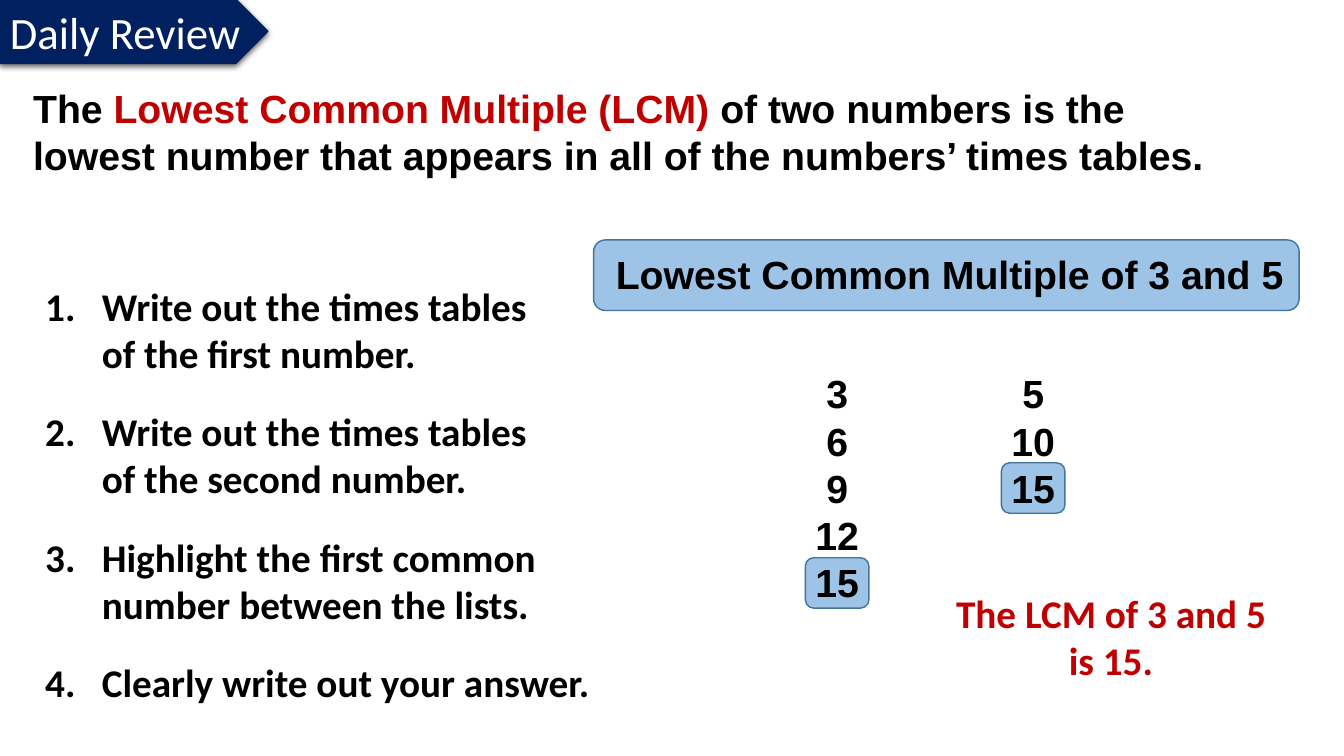
from lxml import etree
from pptx import Presentation
from pptx.dml.color import RGBColor
from pptx.enum.shapes import MSO_SHAPE
from pptx.enum.text import MSO_ANCHOR, MSO_AUTO_SIZE, PP_ALIGN
from pptx.oxml.ns import qn
from pptx.util import Pt

LEFT, CENTER = PP_ALIGN.LEFT, PP_ALIGN.CENTER
ROUNDED, PENTAGON = MSO_SHAPE.ROUNDED_RECTANGLE, MSO_SHAPE.PENTAGON
MIDDLE, GROW = MSO_ANCHOR.MIDDLE, MSO_AUTO_SIZE.SHAPE_TO_FIT_TEXT

COLORS = {"navy": "002060", "blue": "9DC3E6", "outline": "43739E",
          "red": "C00000", "black": "000000", "white": "FFFFFF"}

BANNER = "Daily Review"
DEFINITION = [
    ("The ", "black"),
    ("Lowest Common Multiple (LCM) ", "red"),
    ("of two numbers is the lowest number that appears in all of the "
     "numbers’ times tables.", "black"),
]
EXAMPLE = "Lowest Common Multiple of 3 and 5"
ANSWER = "The LCM of 3 and 5 is 15."
STEPS = [  # text, box width
    ("Write out the times tables of the first number.", 360),
    ("Write out the times tables of the second number.", 367),
    ("Highlight the first common number between the lists.", 384),
    ("Clearly write out your answer.", 421),
]
TIMES_TABLES = [  # centre, multiples ending with the common one
    (598, ["3", "6", "9", "12", "15"]),
    (738, ["5", "10", "15"]),
]

STEP_LEFT, STEP_TOP, STEP_PITCH, STEP_INDENT = 25.2, 198, 89.6, 40.5
TABLE_TOP, TABLE_WIDTH, ROW_HEIGHT = 260.6, 147, 33.9
MARK_WIDTH, MARK_HEIGHT, MARK_OFFSET = 45.4, 36, 2.2
TEXT_MARGINS = 7.2

presentation = Presentation()
presentation.slide_width, presentation.slide_height = Pt(960), Pt(540)
slide = presentation.slides.add_slide(presentation.slide_layouts[6])


def color(name):
    return RGBColor.from_string(COLORS[name])


def add_box(preset, left, top, width, height, fill, line, line_width):
    shape = slide.shapes.add_shape(preset, Pt(left), Pt(top), Pt(width), Pt(height))
    shape.shadow.inherit = False
    shape.fill.solid()
    shape.fill.fore_color.rgb = color(fill)
    shape.line.color.rgb = color(line)
    shape.line.width = Pt(line_width)
    return shape


def style(font, name, size, color_name, bold=True):
    font.name, font.size, font.bold = name, Pt(size), bold
    font.color.rgb = color(color_name)


def add_text(paragraphs, left, top, width, height, font_name, align=LEFT):
    """Each paragraph is a list of (text, colour name) runs."""
    box = slide.shapes.add_textbox(Pt(left), Pt(top), Pt(width), Pt(height))
    frame = box.text_frame
    frame.word_wrap = True
    frame.auto_size = GROW
    for index, runs in enumerate(paragraphs):
        paragraph = frame.paragraphs[0] if index == 0 else frame.add_paragraph()
        paragraph.alignment = align
        for text, color_name in runs:
            run = paragraph.add_run()
            run.text = text
            style(run.font, font_name, 28, color_name)
    return box


def number_paragraph(paragraph, number):
    properties = paragraph._p.get_or_add_pPr()
    properties.set("marL", str(Pt(STEP_INDENT)))
    properties.set("indent", str(-Pt(STEP_INDENT)))
    bullet = etree.SubElement(properties, qn("a:buAutoNum"), type="arabicPeriod")
    if number > 1:
        bullet.set("startAt", str(number))


def add_shadow(shape):
    effects = shape._element.spPr.find(qn("a:effectLst"))
    shadow = etree.SubElement(effects, qn("a:outerShdw"), blurRad=str(Pt(4.5)),
                              dist=str(Pt(1.5)), dir="5400000", rotWithShape="0")
    shade = etree.SubElement(shadow, qn("a:srgbClr"), val=COLORS["black"])
    etree.SubElement(shade, qn("a:alpha"), val="63000")


add_box(ROUNDED, 424, 171.4, 504, 50.4, "blue", "outline", 1)
add_text([[(EXAMPLE, "black")]], 422, 175, 512.6, 41, "Arial", CENTER)
add_text([DEFINITION], 16.6, 56.9, 861, 75, "Arial")

for index, (text, width) in enumerate(STEPS):
    height = 75 if index < len(STEPS) - 1 else 41
    box = add_text([[(text, "black")]], STEP_LEFT, STEP_TOP + index * STEP_PITCH,
                   width, height, "Calibri")
    number_paragraph(box.text_frame.paragraphs[0], index + 1)

for center, multiples in TIMES_TABLES:
    mark_top = TABLE_TOP + (len(multiples) - 1) * ROW_HEIGHT + MARK_OFFSET
    add_box(ROUNDED, center - MARK_WIDTH / 2, mark_top, MARK_WIDTH, MARK_HEIGHT,
            "blue", "outline", 1)
    add_text([[(multiple, "black")] for multiple in multiples],
             center - TABLE_WIDTH / 2, TABLE_TOP, TABLE_WIDTH,
             len(multiples) * ROW_HEIGHT + TEXT_MARGINS, "Arial", CENTER)

add_text([[(ANSWER, "red")]], 664.6, 417.6, 257.8, 75, "Calibri", CENTER)

banner = add_box(PENTAGON, 0, -0.7, 191.5, 46.1, "navy", "navy", 0.75)
add_shadow(banner)
banner_frame = banner.text_frame
banner_frame.text = BANNER
banner_frame.word_wrap = False
banner_frame.auto_size = GROW
banner_frame.vertical_anchor = MIDDLE
banner_frame.paragraphs[0].alignment = LEFT
style(banner_frame.paragraphs[0].runs[0].font, "Calibri", 32, "white", False)

presentation.save("out.pptx")
